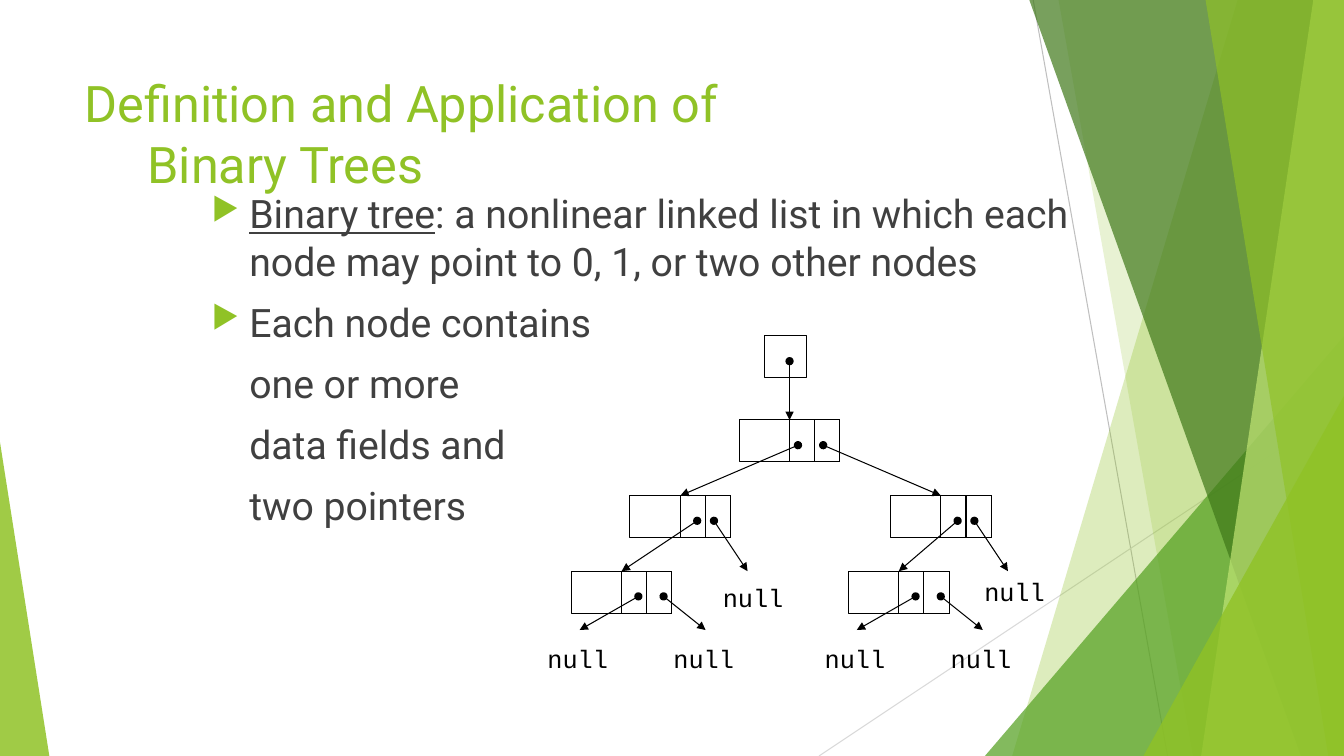
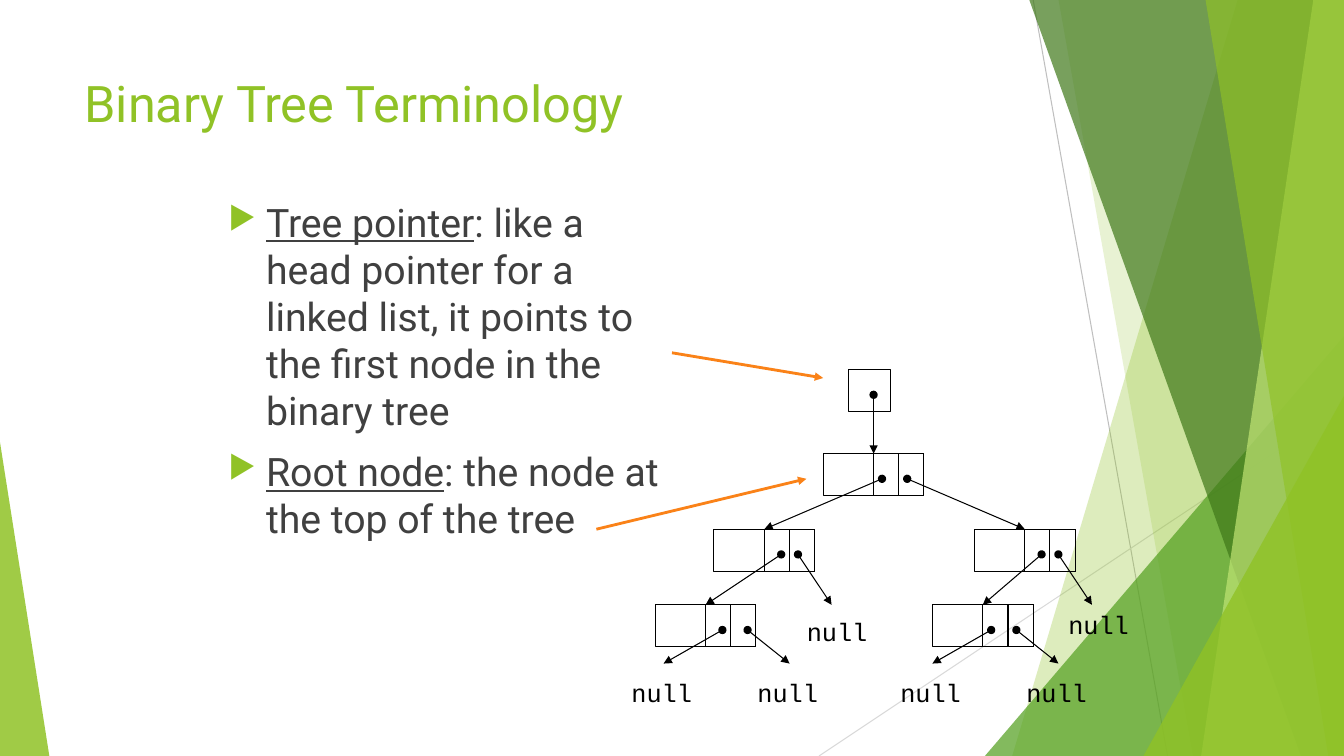
from lxml.etree import SubElement
from pptx import Presentation
from pptx.dml.color import RGBColor
from pptx.enum.shapes import MSO_CONNECTOR, MSO_SHAPE
from pptx.enum.text import MSO_AUTO_SIZE
from pptx.oxml.ns import qn
from pptx.util import Pt

PX = 9525  # EMU per px, 96 px to the inch
W, H = 1280, 720

COLORS = {
    "green": "90C226", "mid": "54A021", "dark": "3F7819", "light": "C0E474",
    "text": "404040", "black": "000000", "orange": "FA8218",
    "gray": "BFBFBF", "pale": "D9D9D9",
}
RGB = {name: RGBColor.from_string(value) for name, value in COLORS.items()}

FORMATS = {
    "title": ({"name": "Roboto", "size": Pt(36)}, "green"),
    "body": ({"name": "Roboto", "size": Pt(28)}, "text"),
    "term": ({"name": "Roboto", "size": Pt(28), "underline": True}, "text"),
    "null": ({"name": "Courier New", "size": Pt(18)}, "black"),
}

# Background, back to front: (top x, bottom x) is a band reaching the right
# edge, (x, y, apex) is a triangle reaching the bottom edge
FACETS = [
    ((1179, 964), "green", 30),
    ((1008, 1136), "green", 20),
    ((938, 320, 1), "mid", 72),
    ((980, 1239), "dark", 70),
    ((1251, 1144), "light", 70),
    ((1148, 1265), "green", 65),
    ((1089, 377, 1), "green", 80),
    ((0, 421, 0), "green", 85),
]
LEFT_TRIANGLE_W = 47

# Tree: node offsets from the tree pointer box
NODE_W, NODE_H, CELL_W = 96, 40, 24
NODES = {
    "root": (-24, 80), "left": (-128, 152), "right": (120, 152),
    "left leaf": (-184, 224), "right leaf": (80, 224),
}
# Start x in the parent, child
LINKS = [("root", 56, "left"), ("root", 80, "right"),
         ("left", 64, "left leaf"), ("right", 64, "right leaf")]
# Start x, end x, end y, label x, label y, all from the node's corner
NULLS = [("left", 80, 112, 72, 79, 78), ("right", 80, 112, 72, 80, 72)]
for leaf in ("left leaf", "right leaf"):
    NULLS += [(leaf, 64, 8, 56, -32, 64), (leaf, 88, 128, 56, 88, 64)]

# Body paragraphs are (underlined term, text, bulleted)
SLIDES = [
    {
        "title": "Definition and Application of\vBinary Trees",
        "box": (192, 176, 880, 440),
        "body": [
            ("Binary tree", ": a nonlinear linked list in which each node may "
                            "point to 0, 1, or two other nodes", True),
            ("", "Each node contains", True),
            ("", "one or more", False),
            ("", "data fields and", False),
            ("", "two pointers", False),
        ],
        "tree": (728, 320),
        "right leaf shift": 0,
        "callouts": [],
    },
    {
        "title": "Binary Tree Terminology",
        "box": (208, 184, 444, 432),
        "body": [
            ("Tree pointer", ": like a head pointer for a linked list, it "
                             "points to the first node in the binary tree", True),
            ("Root node", ": the node at the top of the tree", True),
        ],
        "tree": (808, 352),
        "right leaf shift": -8,
        "callouts": [(640, 336, 784, 360), (568, 504, 768, 456)],
    },
]


def add_line(s, ends, color="black", width=0.75, head=None, tail=None):
    c = s.shapes.add_connector(MSO_CONNECTOR.STRAIGHT, *(v * PX for v in ends))
    c.line.color.rgb = RGB[color]
    c.line.width = Pt(width)
    spPr = c._element.spPr
    ln = spPr.find(qn("a:ln"))
    for tag, kind in (("a:headEnd", head), ("a:tailEnd", tail)):
        if kind:
            SubElement(ln, qn(tag), type=kind)
    SubElement(spPr, qn("a:effectLst"))
    return c


def add_run(p, text, style):
    r = p.add_run()
    r.text = text
    values, color = FORMATS[style]
    for key, value in values.items():
        setattr(r.font, key, value)
    r.font.color.rgb = RGB[color]


prs = Presentation()
prs.slide_width, prs.slide_height = W * PX, H * PX

for data in SLIDES:
    s = prs.slides.add_slide(prs.slide_layouts[6])

    # Background
    add_line(s, (984, 0, 1112, H), "gray")
    add_line(s, (W, 387, 780, H), "pale")
    for geometry, color, alpha in FACETS:
        if len(geometry) == 2:
            top, bottom = geometry
            fb = s.shapes.build_freeform(top, -1, scale=PX)
            fb.add_line_segments([(W, -1), (W, H), (bottom, H)], close=True)
            sp = fb.convert_to_shape()
        else:
            x, y, apex = geometry
            w = W - x if apex else LEFT_TRIANGLE_W
            sp = s.shapes.add_shape(MSO_SHAPE.ISOSCELES_TRIANGLE,
                                    x * PX, y * PX, w * PX, (H - y) * PX)
            sp.adjustments[0] = apex
        sp.shadow.inherit = False
        sp.line.fill.background()
        sp.fill.solid()
        sp.fill.fore_color.rgb = RGB[color]
        clr = sp._element.spPr.find(qn("a:solidFill")).find(qn("a:srgbClr"))
        SubElement(clr, qn("a:alpha"), val=str(alpha * 1000))

    # Title, second line indented
    tf = s.shapes.add_textbox(71 * PX, 64 * PX, 902 * PX, 138 * PX).text_frame
    tf.word_wrap = True
    p = tf.paragraphs[0]
    for i, line in enumerate(data["title"].split("\v")):
        if i:
            p.add_line_break()
        add_run(p, line, "title")
    pPr = p._p.get_or_add_pPr()
    pPr.set("marL", str(60 * PX))
    pPr.set("indent", str(-60 * PX))

    # Body
    tf = s.shapes.add_textbox(*(v * PX for v in data["box"])).text_frame
    tf.word_wrap = True
    for i, (term, text, bulleted) in enumerate(data["body"]):
        p = tf.add_paragraph() if i else tf.paragraphs[0]
        p.space_before = Pt(10)
        if term:
            add_run(p, term, "term")
        add_run(p, text, "body")
        pPr = p._p.get_or_add_pPr()
        pPr.set("marL", str(36 * PX))
        pPr.set("indent", str(-36 * PX if bulleted else 0))
        if bulleted:
            SubElement(SubElement(pPr, qn("a:buClr")), qn("a:srgbClr"),
                       val=COLORS["green"])
            SubElement(pPr, qn("a:buSzPct"), val="80000")
            SubElement(pPr, qn("a:buChar"), char="▶")

    # Tree boxes: the pointer, then each node with its two pointer cells
    tx, ty = data["tree"]
    corners = {name: (tx + dx, ty + dy) for name, (dx, dy) in NODES.items()}
    rects = [("pointer", tx, ty, NODE_H)]
    for name, (x, y) in corners.items():
        rects.append((name, x, y, NODE_W))
        rects += [(None, x + n * CELL_W, y, CELL_W) for n in (2, 3)]
    boxes = {}
    for name, x, y, w in rects:
        sp = s.shapes.add_shape(MSO_SHAPE.RECTANGLE,
                                x * PX, y * PX, w * PX, NODE_H * PX)
        sp.shadow.inherit = False
        sp.fill.background()
        sp.line.color.rgb = RGB["black"]
        sp.line.width = Pt(0.75)
        if name:
            boxes[name] = sp

    # Arrows to nodes
    starts = [(tx + 24, ty + 24, "root")]
    for parent, dx, child in LINKS:
        x, y = corners[parent]
        starts.append((x + dx, y + 24, child))
    for x, y, child in starts:
        cx, cy = corners[child]
        c = add_line(s, (x, y, cx + NODE_W // 2, cy), head="oval", tail="triangle")
        c.end_connect(boxes[child], 0)

    # Arrows to null
    for name, x1, x2, y2, label_x, label_y in NULLS:
        x, y = corners[name]
        if name == "right leaf":
            x += data["right leaf shift"]
        add_line(s, (x + x1, y + 24, x + x2, y + y2), head="oval", tail="triangle")
        tf = s.shapes.add_textbox((x + label_x) * PX, (y + label_y) * PX,
                                  78 * PX, 38 * PX).text_frame
        tf.word_wrap = False
        tf.auto_size = MSO_AUTO_SIZE.SHAPE_TO_FIT_TEXT
        add_run(tf.paragraphs[0], "null", "null")

    # Callout arrows
    for ends in data["callouts"]:
        add_line(s, ends, "orange", 2, tail="triangle")

prs.save("out.pptx")
